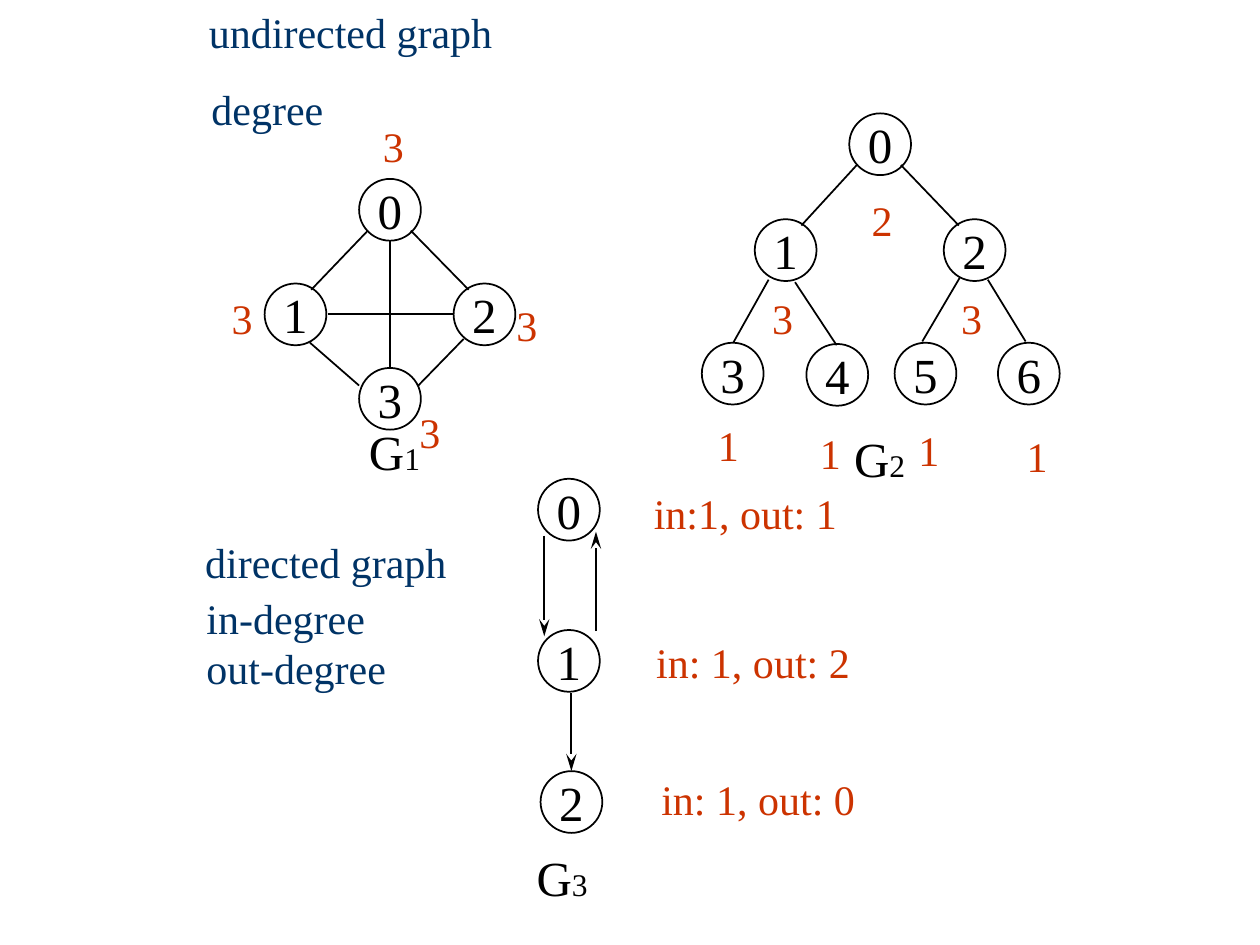
import pptx
import pptx.util
import pptx.dml.color
import pptx.enum.shapes
import pptx.enum.text
import pptx.oxml
import pptx.oxml.ns

# All positions are columns and rows of a grid of 1000 x 750 cells.
COLS, ROWS = 1000, 750
CELL = pptx.util.Inches(10) // COLS

THEME = {
    "font": "Times New Roman",
    "heading": "003366", "degree": "CC3300", "ink": "000000", "node": "FFFFFF",
    "text_pt": 24, "node_pt": 28, "sub_pt": 18, "line_pt": 1,
}
NODE = 49           # node diameter
TEXT_H = 50         # height of one line of text
DIGIT_W = 36        # width of a one-digit label
NAME_SIZE = (65, 57)

# lines, box
HEADINGS = [
    (["undirected graph"], (156, 0, 249, TEXT_H)),
    (["degree"], (158, 61, 113, TEXT_H)),
    (["directed graph"], (153, 421, 215, TEXT_H)),
    (["in-degree", "out-degree"], (154, 465, 166, 90)),
]

# nodes: left, top, labelled 0, 1, 2 ... in order
# degrees: text, left, top, width
# edges: start, end, and the node whose top the edge is joined to (or None)
GRAPHS = [
    {
        "name": ("G", "1"), "name_at": (283, 330), "directed": False,
        "nodes": [(285, 142), (210, 225), (360, 225), (285, 292)],
        "degrees": [("3", 294, 91, DIGIT_W), ("3", 174, 227, DIGIT_W),
                    ("3", 400, 233, DIGIT_W), ("3", 323, 318, DIGIT_W)],
        "edges": [((309.5, 191), (309.5, 292), 3), ((260, 249), (360, 249), None),
                  ((292, 183), (247, 230), None), ((326, 183), (372, 230), None),
                  ((246, 272), (285, 306), None), ((368, 269), (332, 306), None)],
    },
    {
        "name": ("G", "2"), "name_at": (668, 335), "directed": False,
        "nodes": [(674, 90), (599, 174), (749, 174),
                  (557, 272), (640, 273), (710, 272), (792, 272)],
        "degrees": [("2", 682, 149, DIGIT_W), ("3", 603, 227, DIGIT_W),
                    ("3", 753, 227, DIGIT_W), ("1", 560, 328, DIGIT_W),
                    ("1", 641, 334, DIGIT_W), ("1", 719, 332, DIGIT_W),
                    ("1", 805, 337, DIGIT_W)],
        "edges": [((680, 131), (636, 179), None), ((715, 131), (761, 179), None),
                  ((610, 222), (582, 272), None), ((631, 224), (664, 274), None),
                  ((762, 220), (732, 271), None), ((784, 222), (814, 271), None)],
    },
    {
        "name": ("G", "3"), "name_at": (416, 668), "directed": True,
        "nodes": [(427, 380), (427, 500), (429, 612)],
        "degrees": [("in:1, out: 1", 509, 382, 169),
                    ("in: 1, out: 2", 511, 500, 177),
                    ("in: 1, out: 0", 515, 609, 177)],
        "edges": [((453.5, 550), (453.5, 612), 2), ((473, 501), (473, 422), None),
                  ((432, 425), (432, 505), None)],
    },
]


def cells(*numbers):
    return [round(n * CELL) for n in numbers]


def rgb(name):
    return pptx.dml.color.RGBColor.from_string(THEME[name])


def write(sp, paragraphs, color="ink", align="left", anchor="middle", grow=True):
    """Fill a shape with paragraphs, each a list of (text, size) runs."""
    tf = sp.text_frame
    tf.word_wrap = False
    tf.vertical_anchor = getattr(pptx.enum.text.MSO_ANCHOR, anchor.upper())
    if grow:
        tf.auto_size = pptx.enum.text.MSO_AUTO_SIZE.SHAPE_TO_FIT_TEXT
    for i, runs in enumerate(paragraphs):
        p = tf.add_paragraph() if i else tf.paragraphs[0]
        p.alignment = getattr(pptx.enum.text.PP_ALIGN, align.upper())
        for text, size in runs:
            r = p.add_run()
            r.text = text
            r.font.name = THEME["font"]
            r.font.size = pptx.util.Pt(THEME[size])
            r.font.color.rgb = rgb(color)


def add_text(slide, box, paragraphs, **fmt):
    write(slide.shapes.add_textbox(*cells(*box)), paragraphs, **fmt)


def add_node(slide, label, left, top):
    sp = slide.shapes.add_shape(pptx.enum.shapes.MSO_SHAPE.OVAL,
                                *cells(left, top, NODE, NODE))
    sp.shadow.inherit = False
    sp.fill.solid()
    sp.fill.fore_color.rgb = rgb("node")
    sp.line.color.rgb = rgb("ink")
    sp.line.width = pptx.util.Pt(THEME["line_pt"])
    write(sp, [[(label, "node_pt")]], align="center", grow=False)
    return sp


def add_edge(slide, start, end, target=None, arrow=False):
    line = slide.shapes.add_connector(pptx.enum.shapes.MSO_CONNECTOR.STRAIGHT,
                                      *cells(*start, *end))
    if target is not None:
        line.end_connect(target, 0)
    line.line.color.rgb = rgb("ink")
    line.line.width = pptx.util.Pt(THEME["line_pt"])
    if arrow:
        tail = pptx.oxml.parse_xml(
            f'<a:tailEnd {pptx.oxml.ns.nsdecls("a")} type="stealth" len="lg"/>')
        line.line._get_or_add_ln().append(tail)
    line._element.spPr.append(
        pptx.oxml.parse_xml(f'<a:effectLst {pptx.oxml.ns.nsdecls("a")}/>'))


def add_graph(slide, graph):
    nodes = [add_node(slide, str(i), *at) for i, at in enumerate(graph["nodes"])]
    for start, end, joined in graph["edges"]:
        target = None if joined is None else nodes[joined]
        add_edge(slide, start, end, target, graph["directed"])
    for text, left, top, width in graph["degrees"]:
        add_text(slide, (left, top, width, TEXT_H), [[(text, "text_pt")]],
                 color="degree", align="left" if graph["directed"] else "center")
    letter, number = graph["name"]
    add_text(slide, (*graph["name_at"], *NAME_SIZE),
             [[(letter, "node_pt"), (number, "sub_pt")]], anchor="top")


def main():
    prs = pptx.Presentation()
    prs.slide_width, prs.slide_height = cells(COLS, ROWS)
    slide = prs.slides.add_slide(prs.slide_layouts[6])
    for lines, box in HEADINGS:
        add_text(slide, box, [[(line, "text_pt")] for line in lines],
                 color="heading")
    for graph in GRAPHS:
        add_graph(slide, graph)
    prs.save("out.pptx")


if __name__ == "__main__":
    main()
